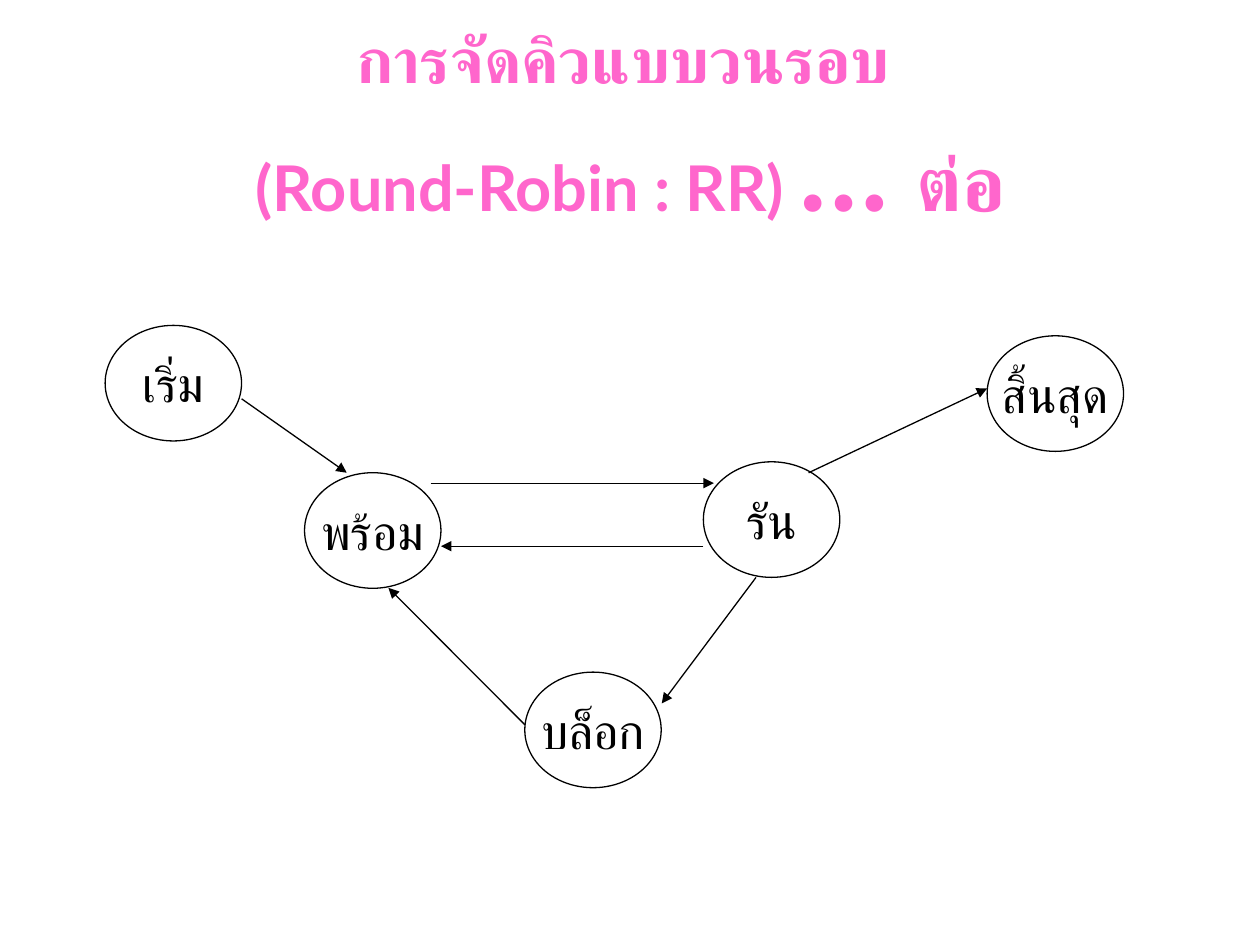
from dataclasses import dataclass

from lxml import etree
from pptx import Presentation
from pptx.dml.color import RGBColor
from pptx.enum.shapes import MSO_CONNECTOR, MSO_SHAPE
from pptx.enum.text import MSO_ANCHOR, MSO_AUTO_SIZE, PP_ALIGN
from pptx.oxml.ns import qn
from pptx.util import Cm, Pt

ELLIPSE = MSO_SHAPE.OVAL
STRAIGHT = MSO_CONNECTOR.STRAIGHT
CENTER = PP_ALIGN.CENTER
MIDDLE = MSO_ANCHOR.MIDDLE
BOTTOM = MSO_ANCHOR.BOTTOM
NO_FIT = MSO_AUTO_SIZE.NONE


@dataclass(frozen=True)
class Theme:
    """Colours, font and sizes of the slide."""
    font: str = "Lato"
    title_color: RGBColor = RGBColor(0xFF, 0x66, 0xCC)
    ink: RGBColor = RGBColor(0, 0, 0)
    title_size: int = 36
    dots_size: int = 66
    suffix_size: int = 44
    state_size: int = 28
    line_width: float = 0.75
    state_width: float = 2.75
    state_height: float = 2.33


class StateDiagram:
    """Draws a title, states and transitions on one slide."""

    def __init__(self, slide, theme):
        """Keep the slide and theme, and open a group for the diagram."""
        self.slide = slide
        self.theme = theme
        self.group = slide.shapes.add_group_shape()

    def add_run(self, paragraph, text, size, color, bold=False):
        """Add one formatted run, with its font set for Thai as well."""
        run = paragraph.add_run()
        run.text = text
        run.font.name = self.theme.font
        run.font.size = Pt(size)
        run.font.bold = bold
        run.font.color.rgb = color
        complex_font = etree.SubElement(run.font._element, qn("a:cs"))
        complex_font.set("typeface", self.theme.font)

    def title(self, lines, left, top, width, height):
        """Fill the title placeholder; each line is a list of (text, size)."""
        title = self.slide.shapes.title
        title.left, title.top = Cm(left), Cm(top)
        title.width, title.height = Cm(width), Cm(height)
        frame = title.text_frame
        frame.auto_size = NO_FIT
        frame.vertical_anchor = BOTTOM
        paragraph = frame.paragraphs[0]
        paragraph.alignment = CENTER
        for index, line in enumerate(lines):
            if index:
                paragraph.add_line_break()
            for text, size in line:
                self.add_run(paragraph, text, size, self.theme.title_color, True)

    def state(self, text, left, top):
        """Draw an outlined ellipse with a centred label."""
        theme = self.theme
        shape = self.group.shapes.add_shape(
            ELLIPSE, Cm(left), Cm(top),
            Cm(theme.state_width), Cm(theme.state_height))
        shape.shadow.inherit = False
        shape.fill.background()
        shape.line.color.rgb = theme.ink
        shape.line.width = Pt(theme.line_width)
        frame = shape.text_frame
        frame.word_wrap = False
        frame.vertical_anchor = MIDDLE
        paragraph = frame.paragraphs[0]
        paragraph.alignment = CENTER
        self.add_run(paragraph, text, theme.state_size, theme.ink)

    def transition(self, start, end):
        """Draw an arrow from start to end."""
        connector = self.group.shapes.add_connector(
            STRAIGHT, *(Cm(value) for value in (*start, *end)))
        connector.line.color.rgb = self.theme.ink
        connector.line.width = Pt(self.theme.line_width)
        line = connector.line._get_or_add_ln()
        etree.SubElement(line, qn("a:tailEnd")).set("type", "triangle")
        etree.SubElement(connector._element.spPr, qn("a:effectLst"))


STATES = [
    ("เริ่ม", 2.12, 6.56),
    ("พร้อม", 6.14, 9.53),
    ("รัน", 14.18, 9.31),
    ("บล็อก", 10.58, 13.55),
    ("สิ้นสุด", 19.9, 6.77),
]
TRANSITIONS = [
    ((4.87, 8.04), (6.99, 9.53)),
    ((8.68, 9.74), (14.39, 9.74)),
    ((14.18, 11.01), (8.89, 11.01)),
    ((15.24, 11.64), (13.34, 14.18)),
    ((10.58, 14.61), (7.83, 11.85)),
    ((16.3, 9.53), (19.9, 7.83)),
]


def main():
    """Build the round-robin slide and save it."""
    presentation = Presentation()
    presentation.slide_width, presentation.slide_height = Cm(25.4), Cm(19.05)
    slide = presentation.slides.add_slide(presentation.slide_layouts[5])
    theme = Theme()
    diagram = StateDiagram(slide, theme)
    diagram.title(
        [[("การจัดคิวแบบวนรอบ ", theme.title_size)],
         [("(Round-Robin : RR) ", theme.title_size),
          ("… ", theme.dots_size),
          ("ต่อ", theme.suffix_size)]],
        1.09, 0.71, 23.24, 4.14)
    for state in STATES:
        diagram.state(*state)
    for transition in TRANSITIONS:
        diagram.transition(*transition)
    presentation.save("out.pptx")


main()
